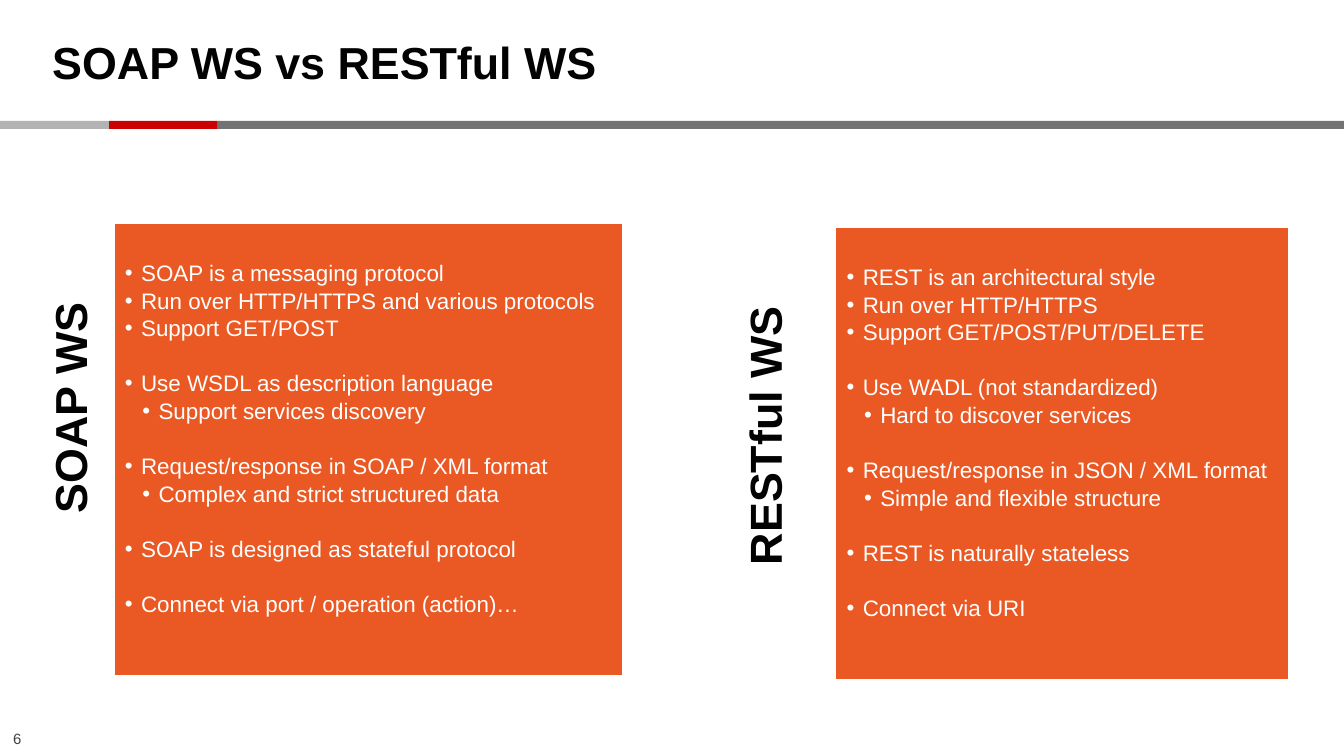
from lxml.etree import SubElement
from pptx import Presentation
from pptx.dml.color import RGBColor
from pptx.enum.shapes import MSO_SHAPE as Shape
from pptx.enum.text import MSO_ANCHOR as Anchor, PP_ALIGN as Align
from pptx.oxml.ns import qn
from pptx.util import Inches, Pt

BLACK = RGBColor(0x02, 0x02, 0x02)
WHITE = RGBColor(0xFF, 0xFF, 0xFF)
ORANGE = RGBColor(0xEA, 0x58, 0x23)
RED = RGBColor(0xCC, 0x00, 0x00)
LIGHT_GRAY = RGBColor(0xB3, 0xB3, 0xB3)
MID_GRAY = RGBColor(0x73, 0x73, 0x73)
DARK_GRAY = RGBColor(0x41, 0x41, 0x41)

SLIDE_WIDTH = Inches(10)
SLIDE_HEIGHT = SLIDE_WIDTH * 9 // 16
PANEL_HEIGHT = 3.39
LABEL_HEIGHT = 0.68
LINE_GAP = Pt(1.8)
GROUP_GAP = Pt(16.6)

# Each group is a list of (level, text) points.
SOAP_GROUPS = [
    [(1, "SOAP is a messaging protocol"),
     (1, "Run over HTTP/HTTPS and various protocols"),
     (1, "Support GET/POST")],
    [(1, "Use WSDL as description language"), (2, "Support services discovery")],
    [(1, "Request/response in SOAP / XML format"),
     (2, "Complex and strict structured data")],
    [(1, "SOAP is designed as stateful protocol")],
    [(1, "Connect via port / operation (action)…")],
]
REST_GROUPS = [
    [(1, "REST is an architectural style"),
     (1, "Run over HTTP/HTTPS"),
     (1, "Support GET/POST/PUT/DELETE")],
    [(1, "Use WADL (not standardized)"), (2, "Hard to discover services")],
    [(1, "Request/response in JSON / XML format"),
     (2, "Simple and flexible structure")],
    [(1, "REST is naturally stateless")],
    [(1, "Connect via URI")],
]


def set_insets(frame, left, top, right, bottom):
    frame.margin_left, frame.margin_top = Inches(left), Inches(top)
    frame.margin_right, frame.margin_bottom = Inches(right), Inches(bottom)


def add_run(paragraph, text, size, color, bold=False):
    run = paragraph.add_run()
    run.text = text
    font = run.font
    font.name, font.size, font.bold = "Arial", Pt(size), bold
    font.color.rgb = color


def add_text(slide, box, insets, text, size, color, bold=False):
    text_box = slide.shapes.add_textbox(*map(Inches, box))
    frame = text_box.text_frame
    frame.word_wrap = True
    set_insets(frame, *insets)
    add_run(frame.paragraphs[0], text, size, color, bold)
    return text_box


def add_block(slide, box, color):
    block = slide.shapes.add_shape(Shape.RECTANGLE, *map(Inches, box))
    block.shadow.inherit = False
    block.fill.solid()
    block.fill.fore_color.rgb = color
    block.line.fill.background()
    return block


def add_bullet(paragraph, level):
    props = paragraph._p.get_or_add_pPr()
    props.set("marL", str(Inches(0.12 if level == 1 else 0.25)))
    props.set("indent", str(Inches(-0.12)))
    bullet_color = SubElement(props, qn("a:buClr"))
    SubElement(bullet_color, qn("a:srgbClr")).set("val", str(WHITE))
    SubElement(props, qn("a:buFont")).set("typeface", "Arial")
    SubElement(props, qn("a:buChar")).set("char", "•")


def add_points(frame, groups):
    """Fill the frame with bulleted groups, set apart by a line's height."""
    for group_index, group in enumerate(groups):
        for point_index, (level, text) in enumerate(group):
            is_first = group_index == point_index == 0
            point = frame.paragraphs[0] if is_first else frame.add_paragraph()
            add_bullet(point, level)
            point.level = level
            point.alignment = Align.LEFT
            point.line_spacing = 0.9
            if not is_first:
                point.space_before = LINE_GAP if point_index else GROUP_GAP
            add_run(point, text, 12, WHITE)


def add_side_label(slide, text, center_x, center_y):
    """Add a label that reads upwards and ends near the panel's top."""
    box = (center_x - PANEL_HEIGHT / 2, center_y - LABEL_HEIGHT / 2,
           PANEL_HEIGHT, LABEL_HEIGHT)
    label = add_text(slide, box, (0, 0, 0.6, 0), text, 24, BLACK, True)
    label.rotation = 270
    paragraph = label.text_frame.paragraphs[0]
    paragraph.alignment = Align.RIGHT
    paragraph.line_spacing = 0.9


def add_panel(slide, label, label_x, left, top, width, groups):
    add_side_label(slide, label, label_x, top + PANEL_HEIGHT / 2)
    panel = add_block(slide, (left, top, width, PANEL_HEIGHT), ORANGE)
    panel.line.color.rgb = WHITE
    panel.line.width = Pt(2)
    frame = panel.text_frame
    frame.word_wrap = True
    frame.vertical_anchor = Anchor.TOP
    set_insets(frame, 0.09, 0.3, 0.09, 0)
    add_points(frame, groups)


def main():
    deck = Presentation()
    deck.slide_width, deck.slide_height = SLIDE_WIDTH, SLIDE_HEIGHT
    slide = deck.slides.add_slide(deck.slide_layouts[6])

    add_text(slide, (0, 5.38, 0.34, 0.24), (0.1, 0.05, 0.1, 0.05),
             "6", 8, DARK_GRAY)
    for left, width, color in [(1.62, 8.38, MID_GRAY), (0.81, 0.81, RED),
                               (0, 0.81, LIGHT_GRAY)]:
        add_block(slide, (left, 0.9, width, 0.06), color)
    title = add_text(slide, (0.29, 0.06, 7.71, 0.8), (0.1, 0, 0.1, 0),
                     "SOAP WS vs RESTful WS", 24, BLACK, True)
    title.text_frame.vertical_anchor = Anchor.MIDDLE

    add_panel(slide, "SOAP WS", 0.7, 0.84, 1.65, 3.8, SOAP_GROUPS)
    add_panel(slide, "RESTful WS", 5.87, 6.21, 1.68, 3.39, REST_GROUPS)

    deck.save("out.pptx")


if __name__ == "__main__":
    main()
